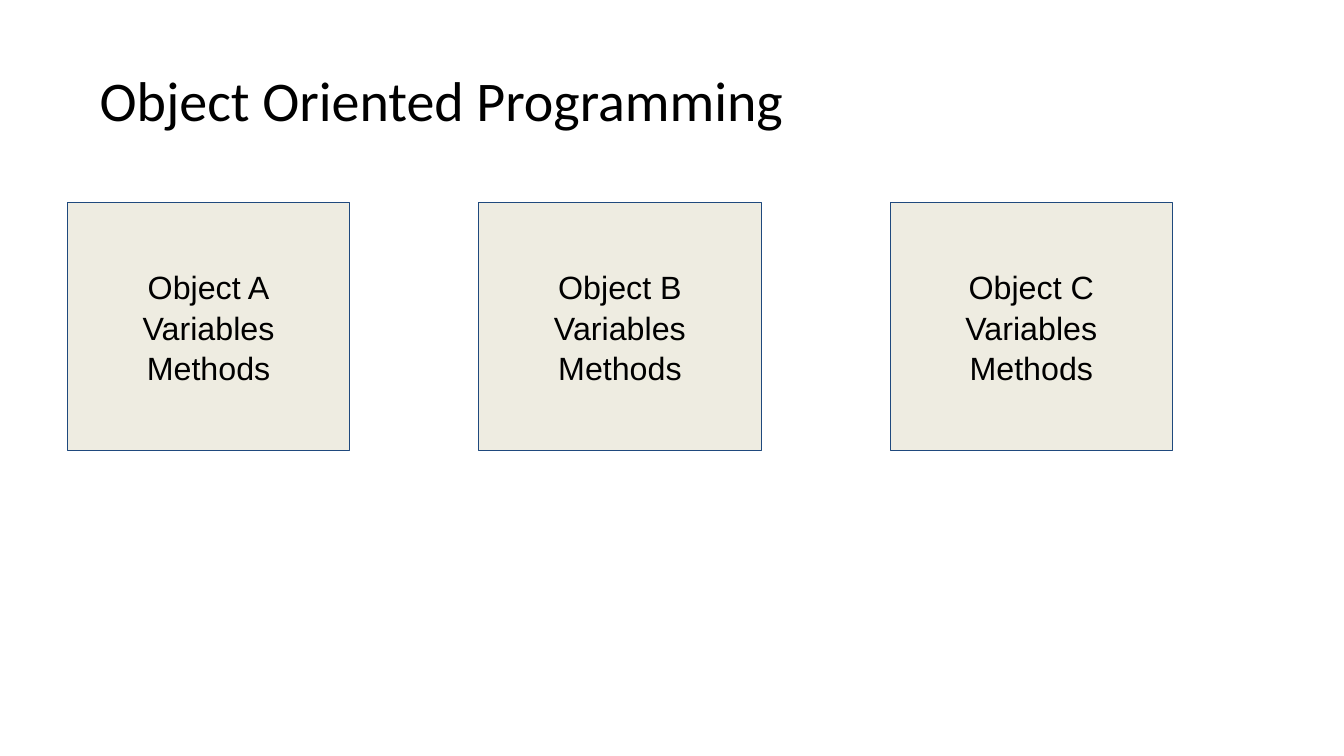
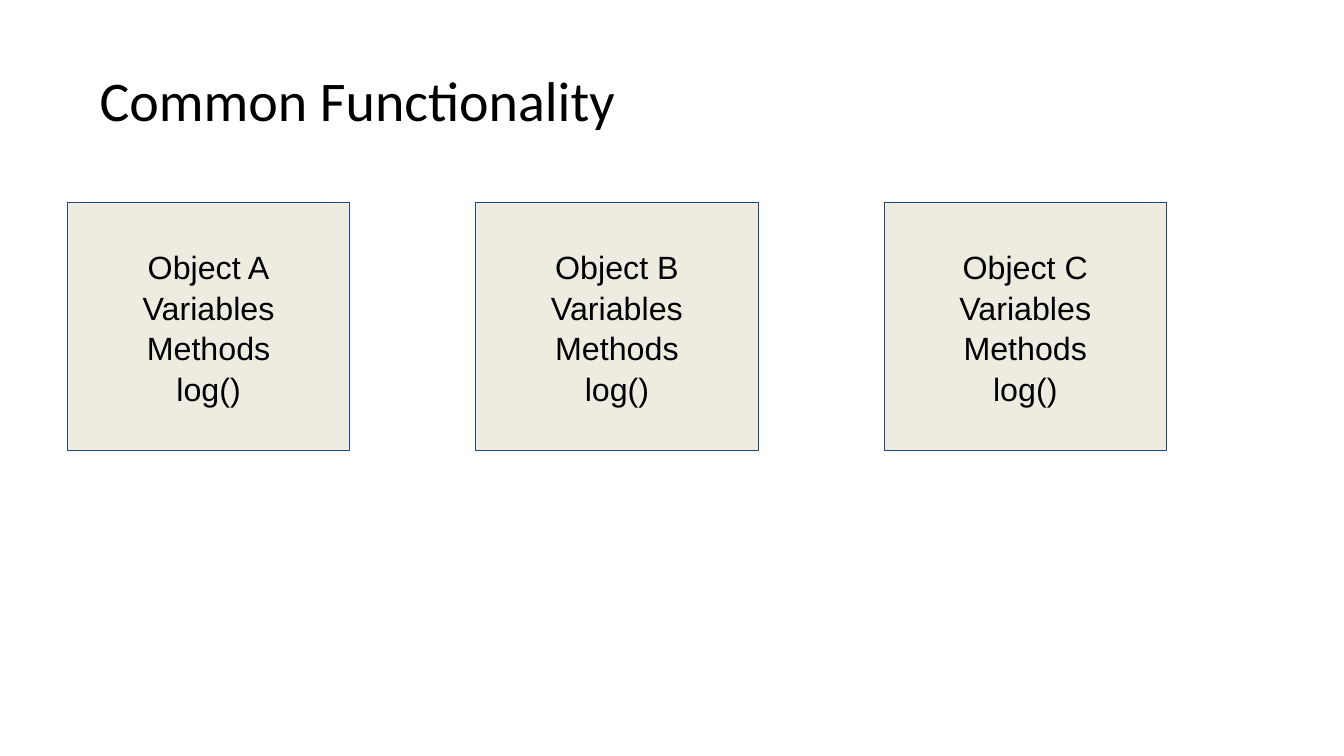
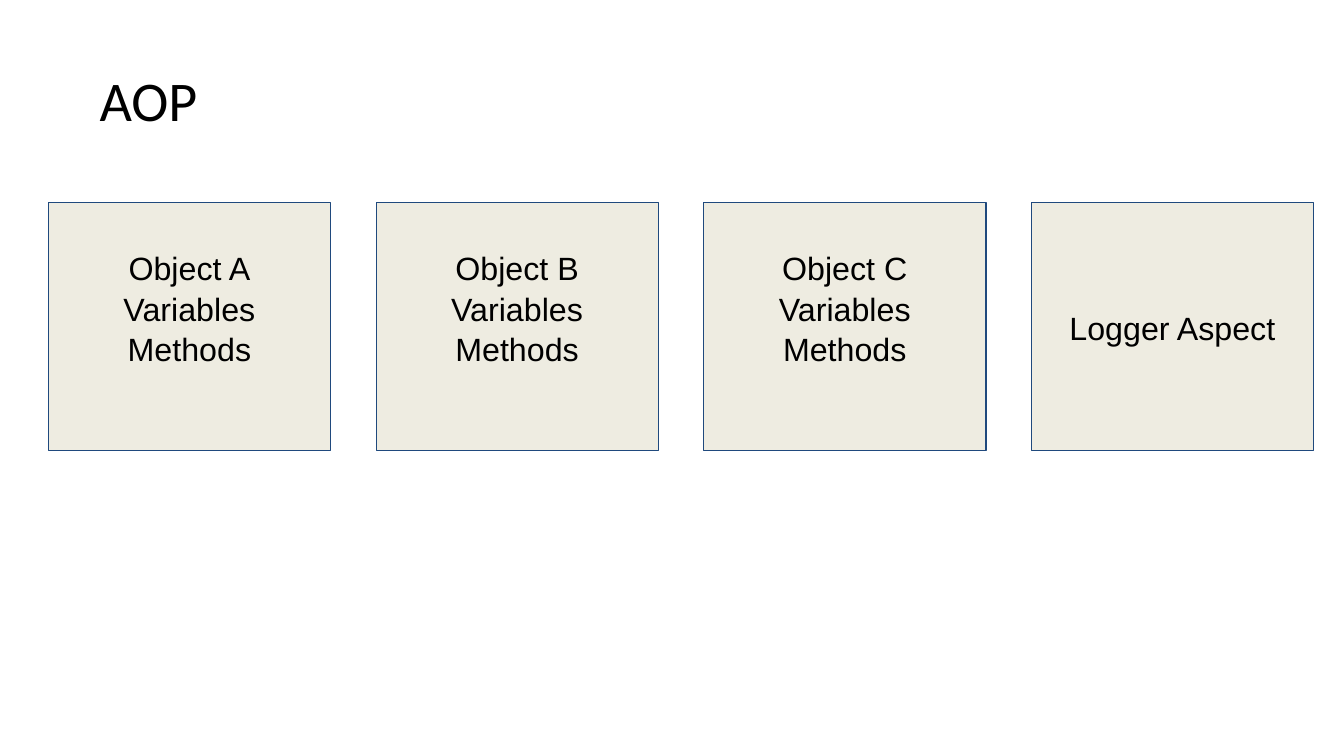
from pptx import Presentation
from pptx.dml.color import RGBColor
from pptx.enum.shapes import MSO_SHAPE
from pptx.enum.text import MSO_ANCHOR, PP_ALIGN
from pptx.util import Inches, Pt

RECTANGLE = MSO_SHAPE.RECTANGLE
MIDDLE = MSO_ANCHOR.MIDDLE
LEFT, CENTER = PP_ALIGN.LEFT, PP_ALIGN.CENTER

COLORS = {"text": "000000", "box": "EEECE1", "border": "1F497D"}

# Content
MEMBERS = ["Variables", "Methods"]
OBJECTS = [[f"Object {letter}", *MEMBERS] for letter in "ABC"]

# "first" is the left edge of the first box, "step" the distance between left edges,
# "raised" the number of boxes whose text sits half a line above the middle
SLIDES = [
    {"title": "Object Oriented Programming", "boxes": OBJECTS,
     "first": 0.67, "step": 4.08, "raised": 0},
    {"title": "Common Functionality", "boxes": [lines + ["log()"] for lines in OBJECTS],
     "first": 0.67, "step": 4.05, "raised": 0},
    {"title": "AOP", "boxes": OBJECTS + [["Logger Aspect"]],
     "first": 0.48, "step": 3.25, "raised": len(OBJECTS)},
]

# Shared geometry, in inches
BOX_TOP, BOX_WIDTH, BOX_HEIGHT = 2.01, 2.8, 2.46
BOX_INSET = 0.1
LINE_HEIGHT = 0.38
LINE_SPACING = 1.05


def color(name):
    return RGBColor.from_string(COLORS[name])


def write_text(shape, lines, font, size, alignment, spacing=1.0):
    text_frame = shape.text_frame
    text_frame.word_wrap = True
    text_frame.vertical_anchor = MIDDLE
    text_frame.text = "\n".join(lines)
    for paragraph in text_frame.paragraphs:
        paragraph.alignment = alignment
        paragraph.line_spacing = spacing
        for run in paragraph.runs:
            run.font.name = font
            run.font.size = Pt(size)
            run.font.color.rgb = color("text")


def add_title(slide, title):
    shape = slide.shapes.add_textbox(Inches(0.89), Inches(0.4), Inches(11.5), Inches(1.16))
    write_text(shape, [title], "Calibri", 40, LEFT)


def add_box(slide, left, lines, raised):
    shape = slide.shapes.add_shape(RECTANGLE, Inches(left), Inches(BOX_TOP),
                                   Inches(BOX_WIDTH), Inches(BOX_HEIGHT))
    shape.shadow.inherit = False
    shape.fill.solid()
    shape.fill.fore_color.rgb = color("box")
    shape.line.color.rgb = color("border")
    shape.line.width = Pt(0.75)
    write_text(shape, lines, "Arial", 23, CENTER, LINE_SPACING)
    text_frame = shape.text_frame
    text_frame.margin_top = Inches(BOX_INSET)
    text_frame.margin_bottom = Inches(BOX_INSET + (LINE_HEIGHT if raised else 0))


def main():
    presentation = Presentation()
    presentation.slide_width = Inches(13.33)
    presentation.slide_height = Inches(7.5)
    blank_layout = presentation.slide_layouts[6]

    for content in SLIDES:
        slide = presentation.slides.add_slide(blank_layout)
        add_title(slide, content["title"])
        for index, lines in enumerate(content["boxes"]):
            left = content["first"] + index * content["step"]
            add_box(slide, left, lines, index < content["raised"])

    presentation.save("out.pptx")


if __name__ == "__main__":
    main()
